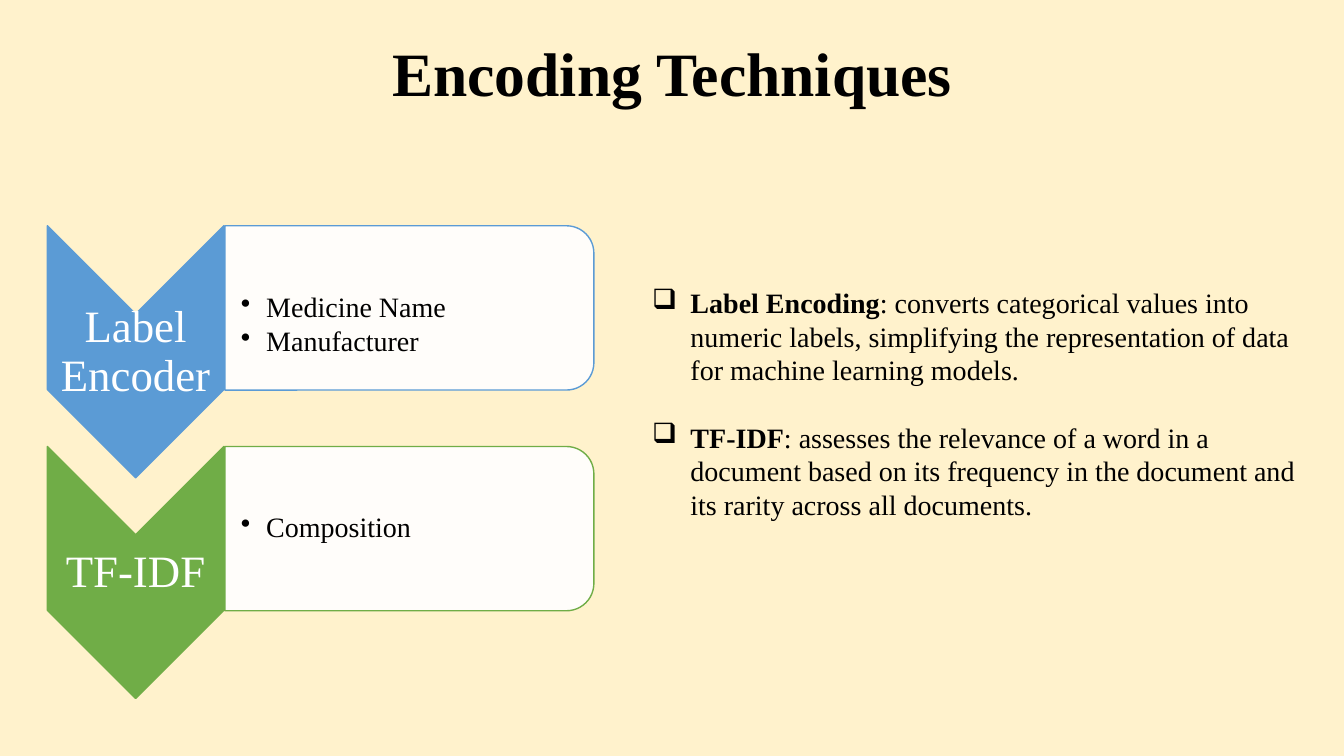
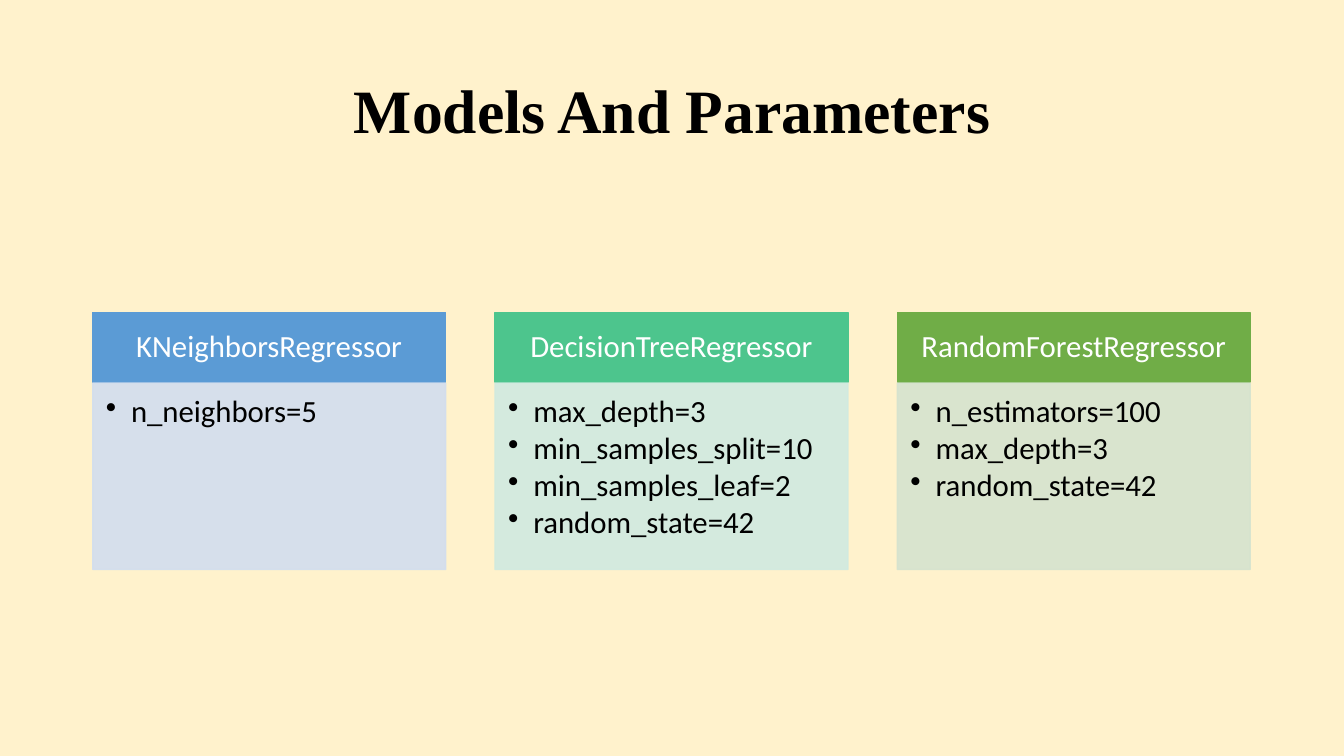
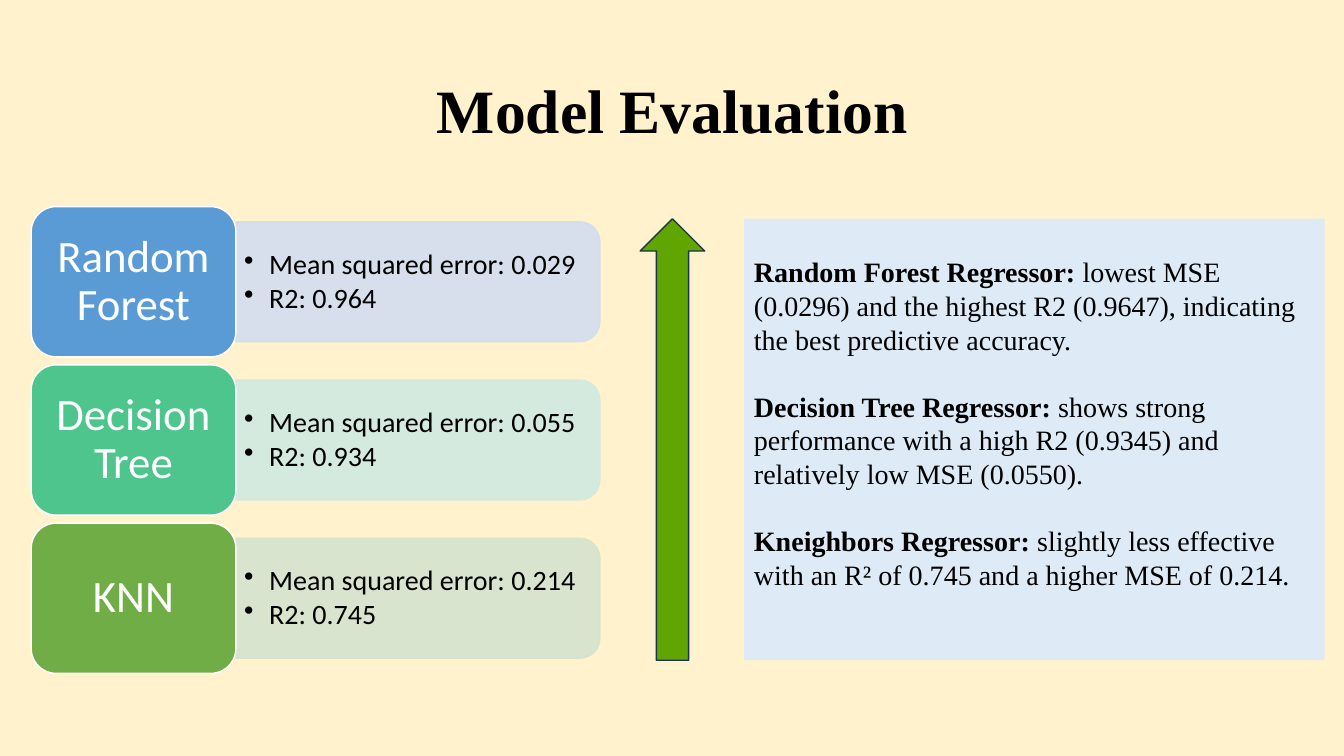
from dataclasses import dataclass
from typing import Any

from lxml.etree import SubElement
from pptx import Presentation
from pptx.dml.color import RGBColor
from pptx.enum.shapes import MSO_SHAPE as Preset
from pptx.enum.text import MSO_ANCHOR as Anchor, MSO_AUTO_SIZE as AutoSize, PP_ALIGN as Align
from pptx.oxml.ns import qn
from pptx.util import Inches, Pt

CREAM = RGBColor(0xFF, 0xF2, 0xCC)
WHITE = RGBColor(0xFF, 0xFF, 0xFF)
BLACK = RGBColor(0x00, 0x00, 0x00)
BLUE = RGBColor(0x5B, 0x9B, 0xD5)
TEAL = RGBColor(0x4D, 0xC5, 0x8D)
GREEN = RGBColor(0x70, 0xAD, 0x47)
PALE_BLUE = RGBColor(0xD2, 0xDE, 0xEF)
PALE_TEAL = RGBColor(0xD0, 0xEA, 0xE1)
PALE_GREEN = RGBColor(0xD5, 0xE3, 0xCF)
ICE = RGBColor(0xDE, 0xEB, 0xF7)
ARROW_GREEN = RGBColor(0x60, 0xA5, 0x00)
NAVY = RGBColor(0x1E, 0x32, 0x56)

SERIF = "Times New Roman"
SANS = "Calibri"
TITLE_TOP = 0.4


@dataclass(frozen=True)
class Box:
    left: float
    top: float
    width: float
    height: float

    def emu(self) -> list[int]:
        return [Inches(value) for value in (self.left, self.top, self.width, self.height)]

    def turned(self) -> "Box":
        shift = (self.width - self.height) / 2
        return Box(self.left + shift, self.top - shift, self.height, self.width)


@dataclass(frozen=True)
class Span:
    text: str
    bold: bool = False


@dataclass(frozen=True)
class TextStyle:
    font: str
    size: float
    color: RGBColor = BLACK
    align: Align = Align.LEFT
    anchor: Anchor = Anchor.MIDDLE
    spacing: float = 1.0
    after: float = 0
    insets: tuple[float, float, float, float] = (0.1, 0.05, 0.1, 0.05)
    bullet: str = ""
    indent: float = 0.25


@dataclass(frozen=True)
class Card:
    label: str
    items: tuple[str, ...]
    color: RGBColor
    pale: RGBColor = WHITE
    lead: float = 0


def apply(target: Any, values: dict[str, Any]) -> None:
    for name, value in values.items():
        setattr(target, name, value)


def write(shape: Any, paragraphs: list[list[Span]], style: TextStyle) -> None:
    frame = shape.text_frame
    left, top, right, bottom = (Inches(value) for value in style.insets)
    apply(frame, {
        "word_wrap": True, "auto_size": AutoSize.NONE, "vertical_anchor": style.anchor,
        "margin_left": left, "margin_top": top,
        "margin_right": right, "margin_bottom": bottom,
    })
    for index, spans in enumerate(paragraphs):
        para = frame.add_paragraph() if index else frame.paragraphs[0]
        last = index == len(paragraphs) - 1
        apply(para, {
            "alignment": style.align, "line_spacing": style.spacing,
            "space_before": Pt(0), "space_after": Pt(0 if last else style.after),
        })
        if style.bullet:
            properties = para._p.get_or_add_pPr()
            properties.set("marL", str(Inches(style.indent)))
            properties.set("indent", str(-Inches(style.indent)))
            SubElement(properties, qn("a:buChar")).set("char", style.bullet)
        for span in spans:
            run = para.add_run()
            run.text = span.text
            apply(run.font, {"name": style.font, "size": Pt(style.size), "bold": span.bold})
            run.font.color.rgb = style.color


def lines(*texts: str) -> list[list[Span]]:
    return [[Span(text)] for text in texts]


def paint(fill: Any, color: RGBColor, opacity: int) -> None:
    fill.solid()
    fill.fore_color.rgb = color
    if opacity < 100:
        node = fill._xPr.find(qn("a:solidFill"))[0]
        SubElement(node, qn("a:alpha")).set("val", str(opacity * 1000))


def add_shape(page: Any, preset: Preset, box: Box, fill: RGBColor, line: RGBColor | None = None,
              opacity: int = 100, line_opacity: int = 100, turned: bool = False) -> Any:
    shape = page.shapes.add_shape(preset, *(box.turned() if turned else box).emu())
    shape.rotation = 90 if turned else 0
    shape.shadow.inherit = False
    paint(shape.fill, fill, opacity)
    if line is None:
        shape.line.fill.background()
    else:
        shape.line.width = Pt(1)
        paint(shape.line.fill, line, line_opacity)
    return shape


def add_text(page: Any, box: Box, paragraphs: list[list[Span]], style: TextStyle) -> None:
    write(page.shapes.add_textbox(*box.emu()), paragraphs, style)


def add_page(deck: Any, title: str, top: float = TITLE_TOP) -> Any:
    page = deck.slides.add_slide(deck.slide_layouts[5])
    holder = page.shapes.title
    left, top, width, height = Box(0.92, top, 11.5, 1.45).emu()
    apply(holder, {"left": left, "top": top, "width": width, "height": height})
    style = TextStyle(SERIF, 44, align=Align.CENTER, spacing=0.9)
    write(holder, [[Span(title, True)]], style)
    return page


def encoding_page(deck: Any) -> None:
    page = add_page(deck, "Encoding Techniques", top=0.03)
    cards = [
        Card("Label Encoder", ("Medicine Name", "Manufacturer"), BLUE, lead=0.34),
        Card("TF-IDF", ("Composition",), GREEN),
    ]
    label_style = TextStyle(SERIF, 32, WHITE, Align.CENTER, spacing=0.9, insets=(0.02,) * 4)
    for index, card in enumerate(cards):
        top = 2.24 + index * 2.19
        add_shape(page, Preset.CHEVRON, Box(0.47, top, 1.75, 2.5), card.color, card.color,
                  turned=True)
        add_text(page, Box(0.47, top + 0.88, 1.75, 0.75), lines(card.label), label_style)
        add_shape(page, Preset.ROUND_2_SAME_RECTANGLE, Box(2.23, top, 3.66, 1.63), WHITE,
                  card.color, opacity=90, turned=True)
        item_style = TextStyle(SERIF, 20, spacing=0.9, after=2.7, bullet="•",
                               insets=(0.16, 0.01 + card.lead, 0.01, 0.01))
        add_text(page, Box(2.23, top + 0.08, 3.59, 1.47), lines(*card.items), item_style)
    notes = [
        [Span("Label Encoding", True),
         Span(": converts categorical values into numeric labels, simplifying the "
              "representation of data for machine learning models.")],
        [Span("TF-IDF", True),
         Span(": assesses the relevance of a word in a document based on its frequency in the "
              "document and its rarity across all documents.")],
    ]
    panel = add_shape(page, Preset.RECTANGLE, Box(6.37, 2.69, 6.87, 2.62), CREAM)
    write(panel, notes, TextStyle(SERIF, 20, after=24, bullet="❑", indent=0.38))


def models_page(deck: Any) -> None:
    page = add_page(deck, "Models And Parameters")
    cards = [
        Card("KNeighborsRegressor", ("n_neighbors=5",), BLUE, PALE_BLUE),
        Card("DecisionTreeRegressor",
             ("max_depth=3", "min_samples_split=10", "min_samples_leaf=2", "random_state=42"),
             TEAL, PALE_TEAL),
        Card("RandomForestRegressor", ("n_estimators=100", "max_depth=3", "random_state=42"),
             GREEN, PALE_GREEN),
    ]
    head_style = TextStyle(SANS, 22, WHITE, Align.CENTER, spacing=0.9,
                           insets=(0.17, 0.1, 0.17, 0.1))
    item_style = TextStyle(SANS, 22, anchor=Anchor.TOP, spacing=0.9, after=2.7, bullet="•",
                           insets=(0.13, 0.13, 0.17, 0.19))
    for index, card in enumerate(cards):
        left = 0.92 + index * 3.99
        head = add_shape(page, Preset.RECTANGLE, Box(left, 3.1, 3.5, 0.69), card.color, card.color)
        write(head, lines(card.label), head_style)
        body = add_shape(page, Preset.RECTANGLE, Box(left, 3.8, 3.5, 1.85), card.pale, card.pale,
                         opacity=90, line_opacity=90)
        write(body, lines(*card.items), item_style)


def evaluation_page(deck: Any) -> None:
    page = add_page(deck, "Model Evaluation")
    cards = [
        Card("Random Forest", ("Mean squared error: 0.029", "R2: 0.964"), BLUE, PALE_BLUE),
        Card("Decision Tree", ("Mean squared error: 0.055", "R2: 0.934"), TEAL, PALE_TEAL),
        Card("KNN", ("Mean squared error: 0.214", "R2: 0.745"), GREEN, PALE_GREEN),
    ]
    label_style = TextStyle(SANS, 32, WHITE, Align.CENTER, spacing=0.9,
                            insets=(0.13, 0.07, 0.13, 0.07))
    item_style = TextStyle(SANS, 20, spacing=0.9, after=2.7, bullet="•",
                           insets=(0.08, 0.04, 0.08, 0.04))
    for index, card in enumerate(cards):
        top = 2.05 + index * 1.57
        add_shape(page, Preset.ROUND_2_SAME_RECTANGLE, Box(2.34, top + 0.15, 3.61, 1.19),
                  card.pale, card.pale, opacity=90, line_opacity=90, turned=True)
        add_text(page, Box(2.34, top + 0.21, 3.55, 1.08), lines(*card.items), item_style)
        tile = add_shape(page, Preset.ROUNDED_RECTANGLE, Box(0.31, top, 2.03, 1.49),
                         card.color, WHITE)
        write(tile, lines(card.label), label_style)
    findings = [
        [Span("Random Forest Regressor:", True),
         Span(" lowest MSE (0.0296) and the highest R2 (0.9647), indicating the best "
              "predictive accuracy.")],
        [Span("Decision Tree Regressor: ", True),
         Span("shows strong performance with a high R2 (0.9345) and relatively low MSE "
              "(0.0550).")],
        [Span("Kneighbors Regressor: ", True),
         Span("slightly less effective with an R² of 0.745 and a higher MSE of 0.214.")],
    ]
    panel = add_shape(page, Preset.RECTANGLE, Box(7.38, 2.17, 5.76, 4.38), ICE)
    write(panel, findings, TextStyle(SERIF, 20, after=24, insets=(0.1, 0.05, 0.1, 0.38)))
    add_shape(page, Preset.UP_ARROW, Box(6.35, 2.17, 0.64, 4.38), ARROW_GREEN, NAVY)


def main() -> None:
    deck = Presentation()
    apply(deck, {"slide_width": Inches(13.33), "slide_height": Inches(7.5)})
    paint(deck.slide_master.background.fill, CREAM, 100)
    for build in (encoding_page, models_page, evaluation_page):
        build(deck)
    deck.save("out.pptx")


if __name__ == "__main__":
    main()
